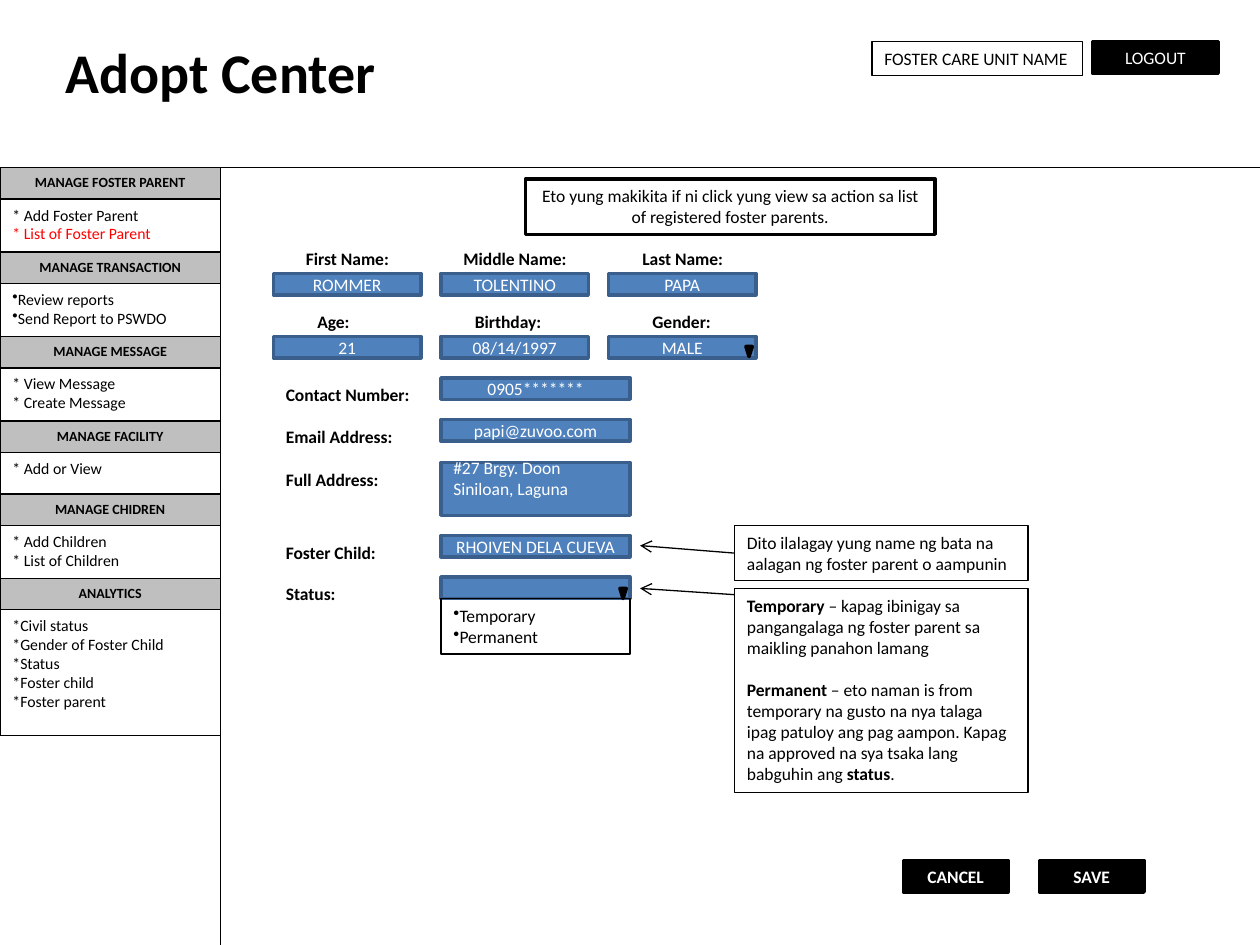
from lxml.etree import SubElement
from pptx import Presentation
from pptx.dml.color import RGBColor
from pptx.enum.shapes import MSO_CONNECTOR, MSO_SHAPE
from pptx.enum.text import MSO_ANCHOR, PP_ALIGN
from pptx.oxml.ns import qn
from pptx.util import Inches, Pt

COLORS = {
    "black": "000000",
    "white": "FFFFFF",
    "heading": "BFBFBF",
    "active": "FF0000",
    "field": "4F81BD",
    "field_edge": "3A5F8C",
}
FONT = "Calibri"
HEADER_BOTTOM = 1.33
SIDEBAR_WIDTH = 1.75
HEADING_HEIGHT = 0.25
FIELD_HEIGHT = 0.17
COLUMNS = [2.17, 3.5, 4.83]

MENU = [
    ("MANAGE FOSTER PARENT", 0.42, ["* Add Foster Parent", "* List of Foster Parent"], False),
    ("MANAGE TRANSACTION", 0.42, ["Review reports", "Send Report to PSWDO"], True),
    ("MANAGE MESSAGE", 0.42, ["* View Message", "* Create Message"], False),
    ("MANAGE FACILITY", 0.33, ["* Add or View"], False),
    ("MANAGE CHIDREN", 0.42, ["* Add Children", "* List of Children"], False),
    ("ANALYTICS", 1, ["*Civil status", "*Gender of Foster Child", "*Status",
                      "*Foster child", "*Foster parent"], False),
]
ACTIVE_ITEM = "* List of Foster Parent"

PERSON_ROWS = [
    (1.92, [("First Name:", 2.33, "ROMMER"), ("Middle Name:", 3.58, "TOLENTINO"),
            ("Last Name:", 5, "PAPA")]),
    (2.42, [("Age:", 2.42, "21"), ("Birthday:", 3.67, "08/14/1997"),
            ("Gender:", 5.08, "MALE")]),
]
DETAIL_ROWS = [
    ("Contact Number:", 3, "0905*******"),
    ("Email Address:", 3.33, "papi@zuvoo.com"),
    ("Foster Child:", 4.25, "RHOIVEN DELA CUEVA"),
    ("Status:", 4.58, ""),
]
STATUS_NOTE = [
    [("Temporary", True),
     (" – kapag ibinigay sa pangangalaga ng foster parent sa maikling panahon lamang", False)],
    [("Permanent", True),
     (" – eto naman is from temporary na gusto na nya talaga ipag patuloy ang pag aampon. "
      "Kapag na approved na sya tsaka lang babguhin ang ", False),
     ("status", True), (".", False)],
]


def color(name):
    """Return the named colour of the palette."""
    return RGBColor.from_string(COLORS[name])


def add_run(paragraph, text, size=10, ink="black", bold=False):
    """Append one formatted run to a paragraph."""
    run = paragraph.add_run()
    run.text = text
    run.font.name = FONT
    run.font.size = Pt(size)
    run.font.bold = bold
    run.font.color.rgb = color(ink)


def add_bullet(paragraph):
    """Give a paragraph a round bullet without indent."""
    properties = paragraph._p.get_or_add_pPr()
    properties.set("marL", "0")
    properties.set("indent", "0")
    SubElement(properties, qn("a:buChar")).set("char", "•")


def write(frame, paragraphs, align=PP_ALIGN.LEFT, bullets=False, gap=0, **style):
    """Fill a text frame with plain strings or lists of (text, bold) runs."""
    frame.word_wrap = True
    for index, content in enumerate(paragraphs):
        paragraph = frame.add_paragraph() if index else frame.paragraphs[0]
        paragraph.alignment = align
        if index and gap:
            paragraph.space_before = Pt(gap)
        if bullets:
            add_bullet(paragraph)
        if isinstance(content, str):
            ink = "active" if content == ACTIVE_ITEM else style.get("ink", "black")
            add_run(paragraph, content, **{**style, "ink": ink})
        else:
            for text, bold in content:
                add_run(paragraph, text, bold=bold)


def add_box(slide, left, top, width, height, fill=None, edge="black", weight=0.75,
            shape=MSO_SHAPE.RECTANGLE, anchor=MSO_ANCHOR.TOP):
    """Add a bordered shape, unfilled unless a fill is named."""
    box = slide.shapes.add_shape(shape, Inches(left), Inches(top), Inches(width), Inches(height))
    box.shadow.inherit = False
    if fill:
        box.fill.solid()
        box.fill.fore_color.rgb = color(fill)
    else:
        box.fill.background()
    box.line.color.rgb = color(edge)
    box.line.width = Pt(weight)
    box.text_frame.vertical_anchor = anchor
    return box


def add_label(slide, text, left, top, width=1.33, height=0.27, size=10):
    """Add a bold caption."""
    label = slide.shapes.add_textbox(Inches(left), Inches(top), Inches(width), Inches(height))
    write(label.text_frame, [text], size=size, bold=True)


def add_field(slide, text, left, top, width, height=FIELD_HEIGHT, align=PP_ALIGN.CENTER):
    """Add a blue form field with its value."""
    field = add_box(slide, left, top, width, height, "field", "field_edge", 2,
                    anchor=MSO_ANCHOR.MIDDLE)
    if text:
        write(field.text_frame, [text], align, ink="white")
    return field


def add_button(slide, text, left, top, width, bold=True):
    """Add a black button."""
    button = add_box(slide, left, top, width, 0.25, "black", weight=2, anchor=MSO_ANCHOR.MIDDLE)
    write(button.text_frame, [text], PP_ALIGN.CENTER, ink="white", bold=bold)


def add_dropdown_mark(slide, left, top):
    """Add the small triangle of a drop-down field."""
    add_box(slide, left, top, 0.05, 0.08, "black", weight=2, shape=MSO_SHAPE.FLOWCHART_MERGE)


def add_line(slide, start, end, arrow=False):
    """Add a thin black line, with an open arrowhead at its end if asked."""
    line = slide.shapes.add_connector(MSO_CONNECTOR.STRAIGHT, *map(Inches, start + end))
    line.line.color.rgb = color("black")
    line.line.width = Pt(0.75)
    if arrow:
        SubElement(line.line._get_or_add_ln(), qn("a:tailEnd")).set("type", "arrow")
    SubElement(line._element.spPr, qn("a:effectLst"))
    return line


def add_header(slide):
    """Add the title, the account area and the dividing lines."""
    add_line(slide, (SIDEBAR_WIDTH, HEADER_BOTTOM), (SIDEBAR_WIDTH, 7.5))
    add_line(slide, (0, HEADER_BOTTOM), (10, HEADER_BOTTOM))
    add_label(slide, "Adopt Center", 0.42, 0.25, 4.42, 0.64, 32)
    unit_name = add_box(slide, 6.92, 0.33, 1.67, 0.27)
    write(unit_name.text_frame, ["FOSTER CARE UNIT NAME"])
    add_button(slide, "LOGOUT", 8.67, 0.33, 1, bold=False)


def add_menu(slide):
    """Stack the sidebar sections below the header."""
    top = HEADER_BOTTOM
    for title, height, items, bullets in MENU:
        heading = add_box(slide, 0, top, SIDEBAR_WIDTH, HEADING_HEIGHT, "heading")
        write(heading.text_frame, [title], PP_ALIGN.CENTER, size=8, bold=True)
        section = add_box(slide, 0, top + HEADING_HEIGHT, SIDEBAR_WIDTH, height, "white")
        write(section.text_frame, items, bullets=bullets, size=9)
        top += HEADING_HEIGHT + height


def add_form(slide):
    """Add the labelled fields of the foster parent."""
    for top, entries in PERSON_ROWS:
        for column, (caption, caption_left, value) in zip(COLUMNS, entries):
            add_label(slide, caption, caption_left, top)
            add_field(slide, value, column, top + 0.25, 1.17)
    for caption, top, value in DETAIL_ROWS:
        add_label(slide, caption, COLUMNS[0], top)
        add_field(slide, value, COLUMNS[1], top, 1.5)
    add_label(slide, "Full Address:", COLUMNS[0], 3.67)
    address = add_field(slide, "#27 Brgy. Doon Siniloan, Laguna", COLUMNS[1], 3.67, 1.5, 0.42,
                        PP_ALIGN.LEFT)
    address.text_frame.margin_bottom = Inches(0.22)
    add_dropdown_mark(slide, 5.92, 2.75)
    add_dropdown_mark(slide, 4.92, 4.67)
    options = add_box(slide, COLUMNS[1], 4.75, 1.5, 0.44)
    write(options.text_frame, ["Temporary", "Permanent"], bullets=True)


def add_notes(slide):
    """Add the explanations and their arrows."""
    view_note = add_box(slide, 4.17, 1.42, 3.25, 0.44, "white", weight=2)
    write(view_note.text_frame, ["Eto yung makikita if ni click yung view sa action sa list "
                                 "of registered foster parents."], PP_ALIGN.CENTER)
    child_note = add_box(slide, 5.83, 4.17, 2.33, 0.44)
    write(child_note.text_frame, ["Dito ilalagay yung name ng bata na aalagan ng foster parent "
                                  "o aampunin"])
    status_note = add_box(slide, 5.83, 4.67, 2.33, 1.62)
    write(status_note.text_frame, STATUS_NOTE, gap=12)
    add_line(slide, (5.83, 4.39), (5.08, 4.33), arrow=True).begin_connect(child_note, 1)
    add_line(slide, (5.83, 4.72), (5.08, 4.67), arrow=True)


def main():
    """Build and save the slide."""
    deck = Presentation()
    deck.slide_width, deck.slide_height = Inches(10), Inches(7.5)
    slide = deck.slides.add_slide(deck.slide_layouts[6])
    add_header(slide)
    add_menu(slide)
    add_form(slide)
    add_notes(slide)
    add_button(slide, "CANCEL", 7.17, 6.83, 0.83)
    add_button(slide, "SAVE", 8.25, 6.83, 0.83)
    deck.save("out.pptx")


if __name__ == "__main__":
    main()
